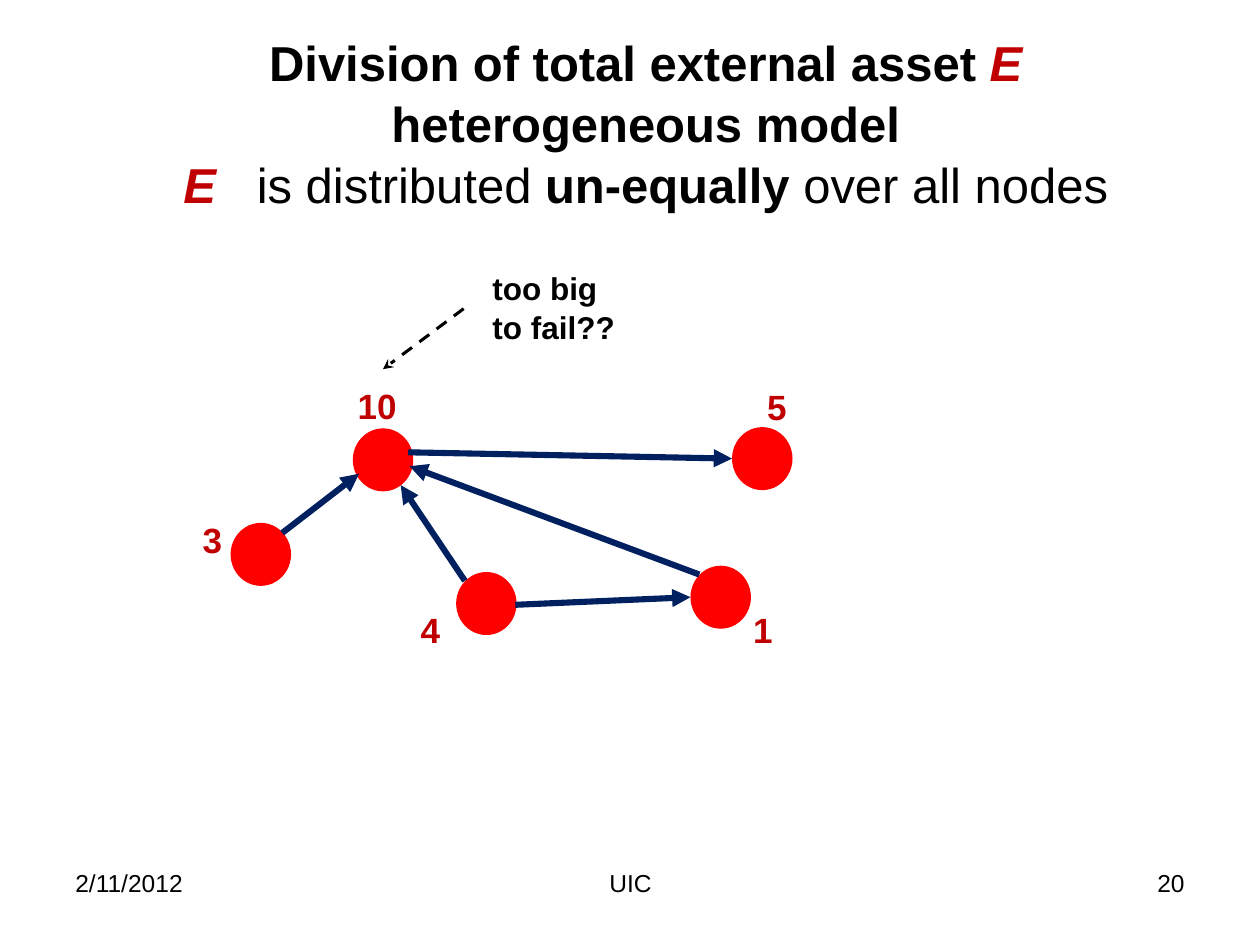
from lxml import etree
from pptx import Presentation
from pptx.dml.color import RGBColor
from pptx.enum.dml import MSO_LINE
from pptx.enum.shapes import MSO_CONNECTOR, MSO_SHAPE
from pptx.enum.text import MSO_ANCHOR, PP_ALIGN
from pptx.oxml.ns import qn
from pptx.util import Inches, Pt

LEFT, CENTER, RIGHT = PP_ALIGN.LEFT, PP_ALIGN.CENTER, PP_ALIGN.RIGHT
STRAIGHT, OVAL, DASH = MSO_CONNECTOR.STRAIGHT, MSO_SHAPE.OVAL, MSO_LINE.DASH
BLACK = RGBColor(0x00, 0x00, 0x00)
NODE_RED = RGBColor(0xFF, 0x00, 0x00)
LABEL_RED = RGBColor(0xC0, 0x00, 0x00)
NAVY = RGBColor(0x00, 0x20, 0x60)
FONT = "Arial"
LINE_SPACING = 1.04

deck = Presentation()
deck.slide_width, deck.slide_height = Inches(10), Inches(7.5)
page = deck.slides.add_slide(deck.slide_layouts[5])

# Square grid: 100 columns by 75 rows
CELL = deck.slide_width / 100


def add_text(area, lines, size, color, bold=False, align=LEFT, wrap=False):
    box = page.shapes.add_textbox(*(round(n * CELL) for n in area))
    frame = box.text_frame
    frame.word_wrap = wrap
    frame.text = "\n".join(lines)
    for para in frame.paragraphs:
        para.alignment = align
        para.line_spacing = LINE_SPACING
        para.font.name, para.font.size = FONT, Pt(size)
        para.font.bold, para.font.color.rgb = bold, color


def add_arrow(start, end, color, width, head):
    ends = (round(n * CELL) for n in start + end)
    arrow = page.shapes.add_connector(STRAIGHT, *ends)
    arrow.line.color.rgb = color
    arrow.line.width = Pt(width)
    outline = arrow.line._get_or_add_ln()
    etree.SubElement(outline, qn("a:tailEnd"), type=head)
    etree.SubElement(arrow._element.spPr, qn("a:effectLst"))
    return arrow


# Title: spans of (text, bold, italic, colour, extra letter spacing in points)
title = page.shapes.title
title.left, title.top, title.width, title.height = (
    round(n * CELL) for n in (13.1, 2.1, 76.3, 15.1))
title.text_frame.word_wrap = False
title.text_frame.vertical_anchor = MSO_ANCHOR.MIDDLE
asset = ("E", True, True, LABEL_RED, 0)
title_lines = [
    [("Division of total external asset ", True, False, BLACK, 0), asset],
    [("heterogeneous model", True, False, BLACK, 0)],
    [asset,
     (" ", False, False, BLACK, 15.5),
     ("is distributed ", False, False, BLACK, 0),
     ("un-equally", True, False, BLACK, 0),
     (" over all nodes", False, False, BLACK, 0)],
]
for index, spans in enumerate(title_lines):
    frame = title.text_frame
    para = frame.add_paragraph() if index else frame.paragraphs[0]
    para.alignment = CENTER
    para.line_spacing = LINE_SPACING
    para.font.name, para.font.size = FONT, Pt(28)
    for text, bold, italic, color, spacing in spans:
        span = para.add_run()
        span.text = text
        span.font.name, span.font.size = FONT, Pt(28)
        span.font.bold, span.font.italic = bold, italic
        span.font.color.rgb = color
        if spacing:
            span._r.get_or_add_rPr().set("spc", str(round(spacing * 100)))

# Network nodes: asset share, node corner, label corner, label width
nodes = [
    ("10", (28, 34), (27.4, 29.9), 5.1),
    ("4", (36.2, 45.4), (32.4, 47.7), 3.6),
    ("5", (58.1, 33.9), (59.9, 30), 3.6),
    ("3", (18.3, 41.5), (15.1, 40.5), 3.6),
    ("1", (54.8, 44.9), (58.8, 47.7), 3.6),
]
for share, corner, label_corner, label_width in nodes:
    node = page.shapes.add_shape(
        OVAL, *(round(n * CELL) for n in corner + (4.8, 5)))
    node.shadow.inherit = False
    node.fill.solid()
    node.fill.fore_color.rgb = NODE_RED
    node.line.fill.background()
    add_text(label_corner + (label_width, 4.4), [share], 20, LABEL_RED, bold=True)

# Links between nodes
links = [
    ((32.4, 35.9), (58.1, 36.4)),
    ((36.9, 46.1), (31.8, 38.5)),
    ((55.5, 45.6), (32.5, 37)),
    ((22.4, 42.3), (28.5, 37.6)),
    ((40.9, 48), (54.8, 47.4)),
]
for start, end in links:
    add_arrow(start, end, NAVY, 3.5, "triangle")

# Remark on the biggest node
add_text((38.1, 20.7, 11.8, 7.1), ["too big", "to fail??"], 18, BLACK, bold=True)
pointer = add_arrow((36.8, 24.5), (30.4, 29.3), BLACK, 1.75, "stealth")
pointer.line.dash_style = DASH

# Footer
for text, left, width, align in [
    ("2/11/2012", 5, 23.3, LEFT),
    ("UIC", 34.2, 31.7, CENTER),
    ("20", 71.7, 23.3, RIGHT),
]:
    add_text((left, 68.3, width, 5.2), [text], 14, BLACK, align=align, wrap=True)

deck.save("out.pptx")
